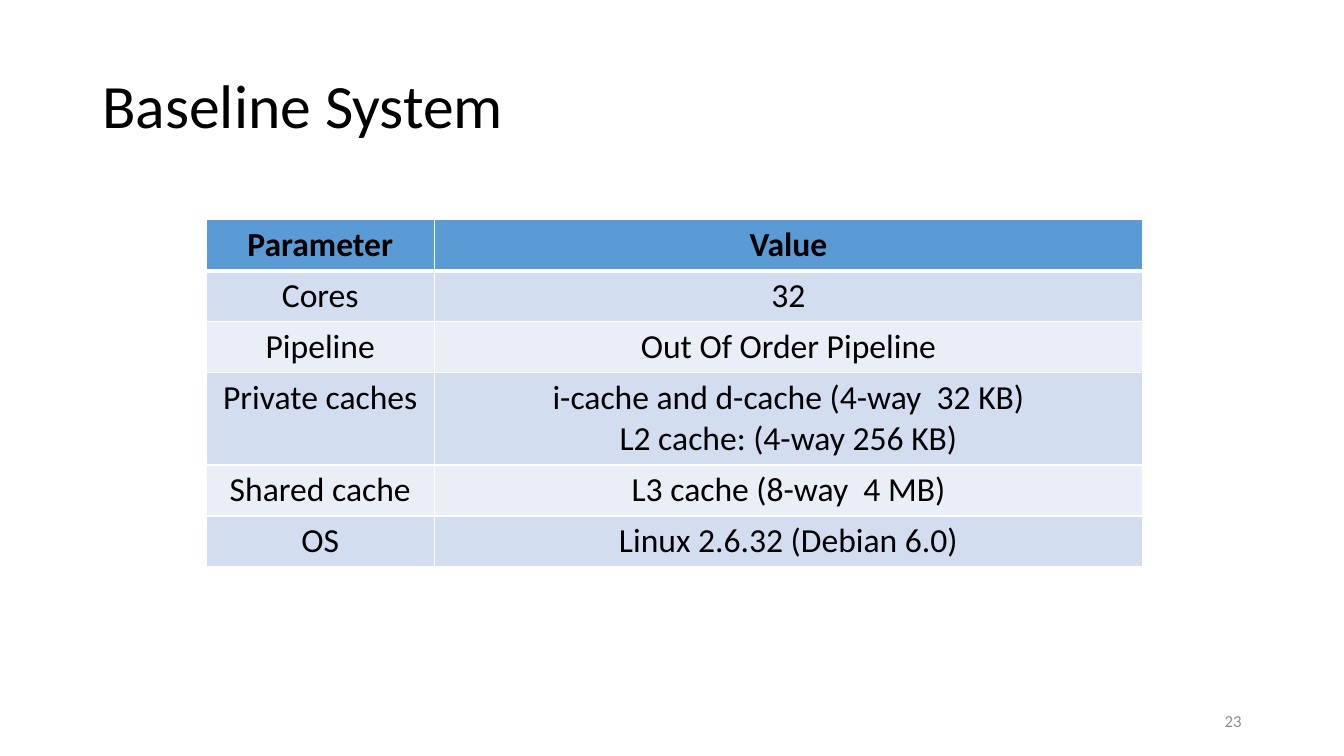
from lxml import etree
from pptx import Presentation
from pptx.dml.color import RGBColor
from pptx.enum.text import MSO_ANCHOR, PP_ALIGN
from pptx.oxml.ns import qn
from pptx.util import Cm, Pt

LEFT, CENTER, RIGHT = PP_ALIGN.LEFT, PP_ALIGN.CENTER, PP_ALIGN.RIGHT
MIDDLE = MSO_ANCHOR.MIDDLE
FONT = "Calibri"
COLORS = {
    "text": "000000",
    "number": "8C8C8C",
    "header": "5B9BD5",
    "odd": "D2DEEF",
    "even": "EAEFF7",
    "border": "FFFFFF",
}
ROWS = [
    ("Parameter", "Value"),
    ("Cores", "32"),
    ("Pipeline", "Out Of Order Pipeline"),
    ("Private caches", "i-cache and d-cache (4-way  32 KB)\nL2 cache: (4-way 256 KB)"),
    ("Shared cache", "L3 cache (8-way  4 MB)"),
    ("OS", "Linux 2.6.32 (Debian 6.0)"),
]
WIDTHS = (5.74, 17.86)
PAD, LINE = 0.25, 1.035


def write(frame, text, size=24, color="text", bold=False, align=CENTER, spacing=None):
    """Fill a text frame with one formatted paragraph per line."""
    frame.text = text
    for para in frame.paragraphs:
        para.alignment = align
        para.line_spacing = spacing
        for run in para.runs:
            font = run.font
            font.name, font.size, font.bold = FONT, Pt(size), bold
            font.color.rgb = RGBColor.from_string(COLORS[color])


def add_text(slide, box, text, **style):
    """Add a wrapped, vertically centred text box."""
    frame = slide.shapes.add_textbox(*map(Cm, box)).text_frame
    frame.word_wrap = True
    frame.vertical_anchor = MIDDLE
    write(frame, text, **style)


def set_border(cell, side, width):
    """Draw one side of a cell as a solid line."""
    props = cell._tc.get_or_add_tcPr()
    line = etree.SubElement(props, qn(f"a:ln{side}"), w=str(Pt(width)))
    fill = etree.SubElement(line, qn("a:solidFill"))
    etree.SubElement(fill, qn("a:srgbClr"), val=COLORS["border"])


def add_grid(slide, left, top):
    """Add the parameter table with a header and banded rows."""
    heights = [PAD + LINE * (1 + row[1].count("\n")) for row in ROWS]
    grid = slide.shapes.add_table(
        len(ROWS), len(WIDTHS), Cm(left), Cm(top), Cm(sum(WIDTHS)), Cm(sum(heights))
    ).table
    for column, width in zip(grid.columns, WIDTHS):
        column.width = Cm(width)
    for i, (row, texts) in enumerate(zip(grid.rows, ROWS)):
        row.height = Cm(heights[i])
        shade = "header" if i == 0 else "odd" if i % 2 else "even"
        for cell, text in zip(row.cells, texts):
            write(cell.text_frame, text, bold=i == 0)
            for side in "LRTB":
                thick = (i, side) in ((0, "B"), (1, "T"))
                set_border(cell, side, 3 if thick else 1)
            cell.fill.solid()
            cell.fill.fore_color.rgb = RGBColor.from_string(COLORS[shade])


def main():
    """Build and save the slide."""
    deck = Presentation()
    deck.slide_width, deck.slide_height = Cm(33.87), Cm(19.05)
    slide = deck.slides.add_slide(deck.slide_layouts[6])
    add_text(slide, (2.33, 0.9, 29.21, 3.68), "Baseline System",
             size=44, align=LEFT, spacing=0.9)
    add_text(slide, (23.92, 17.66, 7.62, 1.01), "23",
             size=12, color="number", align=RIGHT)
    add_grid(slide, 5.2, 5.54)
    deck.save("out.pptx")


if __name__ == "__main__":
    main()
